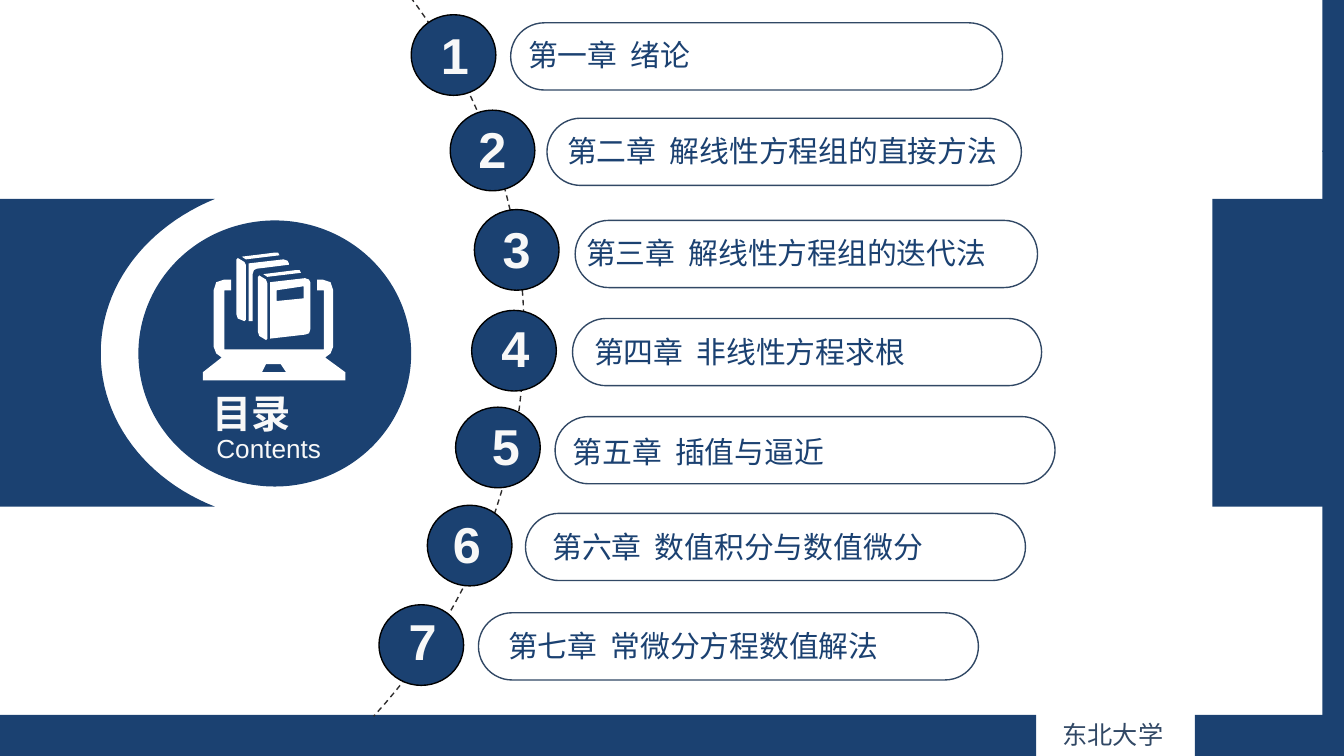
import pptx
import pptx.util
import pptx.dml.color
import pptx.enum.dml
import pptx.enum.shapes
import pptx.enum.text
import pptx.oxml
import pptx.oxml.ns

RGB = pptx.dml.color.RGBColor
NAVY = RGB(0x1B, 0x41, 0x71)
SLATE = RGB(0x31, 0x48, 0x65)
PALE = RGB(0xF8, 0xF8, 0xF8)
WHITE = RGB(0xFF, 0xFF, 0xFF)
BLACK = RGB(0, 0, 0)
DARK = RGB(0x2E, 0x2C, 0x2C)
KIND = pptx.enum.shapes.MSO_SHAPE
ALIGN = pptx.enum.text.PP_ALIGN
PX = 9144  # one px is a hundredth of an inch
LATIN, ASIAN = "Arial", "Noto Sans CJK SC"

# ball x, y; offsets from it: pill x, y; number x, y; label x, y; pill width; label
ROWS = [
    (306, 11, (74, 6), (13, 3), (78, 12), 366, "第一章  绪论"),
    (335, 82, (72, 6), (12, 2), (78, 13), 353, "第二章  解线性方程组的直接方法"),
    (353, 156, (75, 8), (12, 2), (74, 15), 344, "第三章  解线性方程组的迭代法"),
    (351, 231, (75, 6), (13, 1), (82, 13), 349, "第四章  非线性方程求根"),
    (339, 303, (74, 7), (18, 2), (78, 16), 372, "第五章  插值与逼近"),
    (318, 376, (73, 6), (10, 2), (84, 13), 372, "第六章  数值积分与数值微分"),
    (282, 450, (74, 6), (13, 0), (87, 13), 372, "第七章  常微分方程数值解法"),
]

# Laptop and books, relative to the icon's corner
ICON = [
    [(47, 83), (58, 83), (62, 89), (44, 89)],
    [(29, 3), (32, 5), (57, 2), (56, 0), (53, 0)],
    [(26, 4), (31, 7), (32, 9), (32, 50), (31, 51), (26, 49), (25, 46), (25, 5)],
    [(45, 16), (48, 18), (73, 15), (72, 13), (69, 13)],
    [(42, 17), (47, 20), (48, 23), (48, 64), (47, 65), (42, 62), (41, 59), (41, 18)],
    [(50, 22), (76, 19), (79, 20), (80, 22), (80, 57), (79, 60), (76, 61), (50, 64)],
    [(55, 28), (75, 25), (75, 34), (55, 36)],
    [(34, 8), (60, 5), (63, 6), (64, 8), (64, 9), (40, 12), (38, 13), (37, 16),
     (37, 51), (34, 51)],
    [(16, 28), (21, 28), (21, 20), (16, 20), (10, 22), (8, 28), (8, 70), (10, 75),
     (14, 78), (0, 89), (0, 95), (106, 95), (106, 89), (91, 78), (95, 75), (97, 70),
     (97, 28), (95, 22), (89, 20), (85, 20), (85, 28), (90, 28), (90, 72), (16, 72)],
]


def paint(shape, fill=None, line=None, width=0.75):
    shape.shadow.inherit = False
    if fill is None:
        shape.fill.background()
    else:
        shape.fill.solid()
        shape.fill.fore_color.rgb = fill
    if line is None:
        shape.line.fill.background()
    else:
        shape.line.color.rgb = line
        shape.line.width = pptx.util.Pt(width)
    return shape


def block(slide, kind, box, fill=None, line=None):
    shape = slide.shapes.add_shape(kind, *(n * PX for n in box))
    return paint(shape, fill, line)


def write(shape, text, size, color, bold=False, wrap=False, font=LATIN, pad=(9, 4)):
    frame = shape.text_frame
    frame.text = text
    frame.word_wrap = wrap
    frame.auto_size = pptx.enum.text.MSO_AUTO_SIZE.SHAPE_TO_FIT_TEXT
    frame.vertical_anchor = pptx.enum.text.MSO_ANCHOR.TOP
    frame.margin_left = frame.margin_right = pad[0] * PX
    frame.margin_top = frame.margin_bottom = pad[1] * PX
    para = frame.paragraphs[0]
    para.alignment = ALIGN.LEFT
    run = para.runs[0]
    run.font.size = pptx.util.Pt(size)
    run.font.bold = bold
    run.font.color.rgb = color
    run.font.name = font
    asian = pptx.oxml.parse_xml(
        f'<a:ea {pptx.oxml.ns.nsdecls("a")} typeface="{ASIAN}"/>')
    run.font._element.append(asian)
    return para


def label(slide, box, *args, **style):
    shape = slide.shapes.add_textbox(*(n * PX for n in box))
    return write(shape, *args, **style)


def curve(a, b, c, d, steps=24):
    """Points along a cubic curve, after its start."""
    points = []
    for i in range(1, steps + 1):
        t = i / steps
        u = 1 - t
        points.append(tuple(u**3 * p + 3 * u * u * t * q + 3 * u * t * t * r + t**3 * s
                            for p, q, r, s in zip(a, b, c, d)))
    return points


def trace(slide, x, y, paths, close=True):
    loops = [[((x + p) * PX, (y + q) * PX) for p, q in path] for path in paths]
    pen = slide.shapes.build_freeform(*loops[0][0], scale=1.0)
    for i, loop in enumerate(loops):
        if i:
            pen.move_to(*loop[0])
        pen.add_line_segments(loop[1:], close=close)
    return pen.convert_to_shape()


def border(slide, wide, high):
    # Right edge in two overlapping parts
    for top, tall in ((0, 113), (112, high - 112)):
        block(slide, KIND.RECTANGLE, (wide - 16, top, 16, tall), NAVY)
    # Bottom bar with a gap for the name
    for left, right in ((0, 771), (889, wide)):
        bar = block(slide, KIND.ROUNDED_RECTANGLE,
                    (left, high - 31, right - left, 31), NAVY)
        bar.adjustments[0] = 0
    label(slide, (781, high - 33, 96, 33), "东北大学", 13.5, SLATE,
          font=ASIAN, pad=(10, 5))
    # Right tab
    block(slide, KIND.RECTANGLE, (wide - 98, 148, 98, 229), NAVY)


def badge(slide, x, y):
    # Band with a round bite
    bite = (curve((160, 0), (109, 21), (75, 64), (75, 115))
            + curve((75, 115), (75, 165), (109, 209), (160, 229)))
    paint(trace(slide, x, y, [[(160, 229), (0, 229), (0, 0), (160, 0)] + bite]), NAVY)
    # Disc and icon
    block(slide, KIND.OVAL, (x + 103, y + 16, 203, 198), NAVY)
    paint(trace(slide, x + 151, y + 40, ICON), WHITE)
    # Title, brought in front of the disc
    title = slide.shapes.title
    title.left, title.top, title.width, title.height = (
        n * PX for n in (x + 149, y + 138, 100, 44))
    write(title, "目录", 21, PALE, bold=True, wrap=True).alignment = ALIGN.JUSTIFY
    title.element.getparent().append(title.element)
    label(slide, (x + 152, y + 170, 97, 32), "Contents", 14, PALE)


def arc(slide, x, y):
    points = ([(0, 0)] + curve((0, 0), (70, 76), (112, 175), (112, 284))
              + curve((112, 284), (112, 392), (70, 492), (0, 568)))
    line = paint(trace(slide, x, y, [points], close=False), None, DARK, 0)
    line.line.dash_style = pptx.enum.dml.MSO_LINE.DASH


def row(slide, x, y, num, pill, digit, text, wide, name):
    block(slide, KIND.OVAL, (x, y, 63, 60), NAVY, BLACK)
    frame = block(slide, KIND.ROUNDED_RECTANGLE,
                  (x + pill[0], y + pill[1], wide, 50), None, SLATE)
    frame.adjustments[0] = 0.5
    label(slide, (x + digit[0], y + digit[1], 37, 55), str(num), 27, PALE, bold=True)
    label(slide, (x + text[0], y + text[1], 469, 36), name, 16, NAVY, wrap=num > 1)


def main():
    deck = pptx.Presentation()
    wide, high = 1000, 563
    deck.slide_width = wide * PX
    deck.slide_height = deck.slide_width * 9 // 16
    slide = deck.slides.add_slide(deck.slide_layouts[5])
    border(slide, wide, high)
    arc(slide, 278, -35)
    badge(slide, 0, 148)
    for num, (x, y, *rest) in enumerate(ROWS, 1):
        row(slide, x, y, num, *rest)
    deck.save("out.pptx")


if __name__ == "__main__":
    main()
